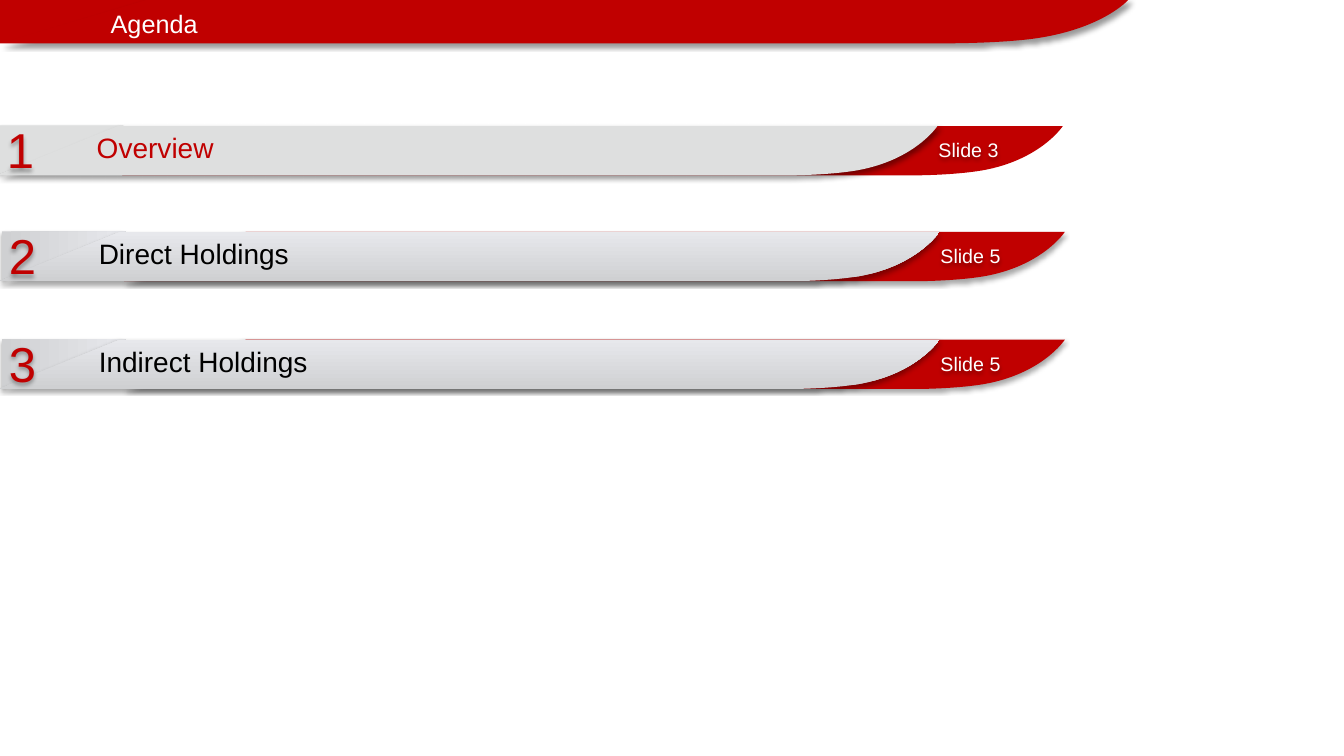
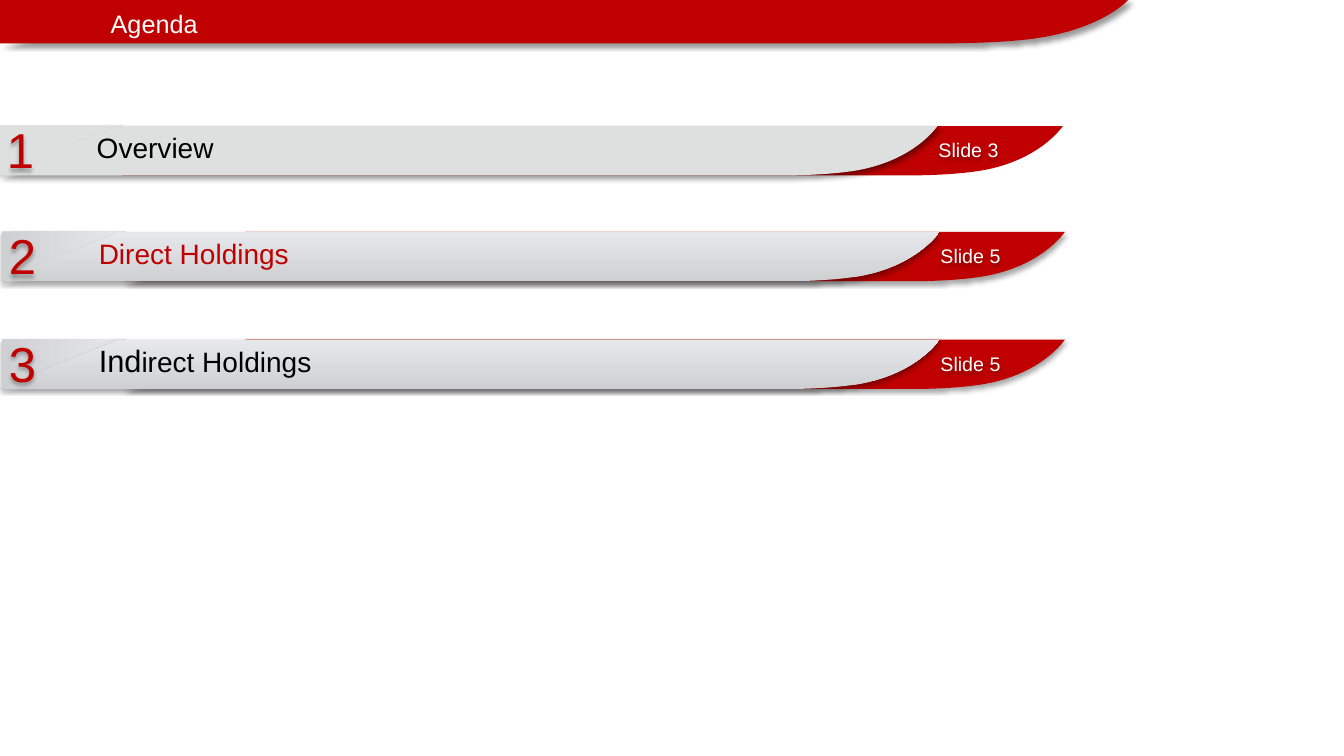
"""Build two agenda slides with curved bars placed by shares of the slide size."""
from dataclasses import dataclass
from typing import Any, NamedTuple, Optional

from lxml import etree
from pptx import Presentation, util as u
from pptx.dml.color import RGBColor
from pptx.enum import shapes, text
from pptx.oxml.ns import qn

WIDE, HIGH = u.Inches(13.33), u.Inches(7.5)
RED = RGBColor(0xC0, 0x00, 0x00)
WHITE = RGBColor(0xFF, 0xFF, 0xFF)
BLACK = RGBColor(0x00, 0x00, 0x00)
GRAY = RGBColor(0xDE, 0xDF, 0xDF)
DARK = RGBColor(0xCF, 0xD0, 0xD2)
LIGHT = RGBColor(0xE7, 0xE8, 0xEC)
FONT = "Arial"
SLANT = 9.08
CURVE = ((0, 0), (1.65, 0.69), (6, 0.9), (8.18, 1), (11.1, 1), (11.1, 1))


class Box(NamedTuple):
    """Hold a place in percent of the slide width and height."""
    left: float
    top: float
    width: float
    height: float

    def emu(self) -> tuple[int, ...]:
        """Give the place in slide units."""
        return (col(self.left), row(self.top), col(self.width), row(self.height))


class Shade(NamedTuple):
    """Hold the opacity, blur, distance and angle of a shadow."""
    alpha: int
    blur: float
    dist: float
    angle: int


class Run(NamedTuple):
    """Hold one run of text."""
    words: str
    size: int
    color: RGBColor


@dataclass(frozen=True)
class Item:
    """Describe one agenda row."""
    title: str
    page: str
    left: float
    top: float
    fill: Optional[RGBColor]
    bar: Shade
    tab: Optional[Shade]


@dataclass(frozen=True)
class Page:
    """Describe one slide: the active row and the enlarged letters of the last."""
    active: int
    large: int


SIDE = Shade(40, 4, 3, 45)
DOWN = Shade(35, 3.1, 1.8, 90)
ITEMS = (
    Item("Overview", "Slide 3", -0.3, 16.67, GRAY, SIDE, None),
    Item("Direct Holdings", "Slide 5", -0.15, 30.67, None, DOWN, DOWN),
    Item("Indirect Holdings", "Slide 5", -0.15, 44.93, None, DOWN, DOWN),
)
PAGES = (Page(0, 0), Page(1, 3))


def col(share: float) -> int:
    """Turn a percent of the width into slide units."""
    return round(WIDE * share / 100)


def row(share: float) -> int:
    """Turn a percent of the height into slide units."""
    return round(HIGH * share / 100)


def cast(shape: Any, shade: Optional[Shade]) -> None:
    """Replace the theme shadow with the given one."""
    shape.shadow.inherit = False
    if shade is None:
        return
    effect = shape._element.spPr.find(qn("a:effectLst"))
    outer = etree.SubElement(
        effect, qn("a:outerShdw"), blurRad=str(u.Pt(shade.blur)),
        dist=str(u.Pt(shade.dist)), dir=str(shade.angle * 60000),
        algn="ctr", rotWithShape="0")
    tint = etree.SubElement(outer, qn("a:srgbClr"), val=str(BLACK))
    etree.SubElement(tint, qn("a:alpha"), val=str(shade.alpha * 1000))


def paint(shape: Any, color: Optional[RGBColor], shade: Optional[Shade]) -> None:
    """Fill a shape flat, or with the gray blend when no colour is given."""
    if color is None:
        shape.fill.gradient()
        shape.fill.gradient_angle = 90
        for stop, tone, place in zip(shape.fill.gradient_stops, (DARK, LIGHT), (0, 1)):
            stop.color.rgb = tone
            stop.position = place
    else:
        shape.fill.solid()
        shape.fill.fore_color.rgb = color
    shape.line.fill.background()
    cast(shape, shade)


def write(shape: Any, runs: tuple[Run, ...], align: Any) -> None:
    """Add one paragraph to a shape, run by run, with a tab stop at one inch."""
    frame = shape.text_frame
    frame.word_wrap = True
    frame.vertical_anchor = text.MSO_ANCHOR.MIDDLE
    para = frame.paragraphs[0]
    para.alignment = align
    if align == text.PP_ALIGN.LEFT:
        stops = etree.SubElement(para._p.get_or_add_pPr(), qn("a:tabLst"))
        etree.SubElement(stops, qn("a:tab"), pos=str(u.Inches(1)), algn="l")
    for item in runs:
        run = para.add_run()
        run.text = item.words
        run.font.name = FONT
        run.font.size = u.Pt(item.size)
        run.font.color.rgb = item.color


def band(group: Any, box: Box, color: Optional[RGBColor],
         shade: Optional[Shade], scale: float = 1) -> Any:
    """Draw a bar with a slanted start and a curved end."""
    right, base = box.left + box.width, box.top + box.height
    curve = [(col(right - back * scale), row(box.top + drop * box.height))
             for back, drop in CURVE]
    pen = group.shapes.build_freeform(col(box.left + SLANT * scale), row(box.top))
    pen.add_line_segments([curve[0], *curve, (col(box.left), row(base))], close=True)
    shape = pen.convert_to_shape()
    lines = list(shape._element.iter(qn("a:lnTo")))
    for start in (1, 4):
        bend = etree.Element(qn("a:cubicBezTo"))
        lines[start].addprevious(bend)
        for line in lines[start:start + 3]:
            bend.append(line[0])
            line.getparent().remove(line)
    paint(shape, color, shade)
    return shape


def label(group: Any, box: Box, run: Run) -> None:
    """Add a centred text box with a soft shadow."""
    shape = group.shapes.add_textbox(*box.emu())
    write(shape, (run,), text.PP_ALIGN.CENTER)
    cast(shape, DOWN)


def header(slide: Any) -> None:
    """Draw the title band."""
    group = slide.shapes.add_group_shape()
    start = group.shapes.add_shape(
        shapes.MSO_SHAPE.PARALLELOGRAM, *Box(0, 0, 11.1, 5.73).emu())
    start.adjustments[0] = 0
    paint(start, RED, None)
    title = band(group, Box(0, 0, 83.95, 5.73), RED, SIDE, 1.2)
    write(title, (Run("\t", 22, WHITE), Run("Agenda", 18, WHITE)), text.PP_ALIGN.LEFT)


def entry(slide: Any, index: int, item: Item, color: RGBColor, large: int) -> None:
    """Draw one agenda row."""
    group = slide.shapes.add_group_shape()
    left, top = item.left, item.top
    wedge = group.shapes.add_shape(
        shapes.MSO_SHAPE.RIGHT_TRIANGLE, *Box(left + 3.08, top - 5.07, 3.6, 16.4).emu())
    wedge.rotation = 90
    paint(wedge, item.fill, DOWN)
    band(group, Box(left + 9.38, top, 70, 6.53), RED, item.tab)
    label(group, Box(left + 66.77, top - 0.03, 11.18, 6.4), Run(item.page, 14, WHITE))
    bar = band(group, Box(left, top, 70.05, 6.53), item.fill, item.bar)
    frame = bar.text_frame
    frame.margin_left = frame.margin_top = frame.margin_right = 0
    frame.margin_bottom = u.Inches(0.08)
    write(bar, (Run("\t" + item.title[:large], 22, BLACK),
                Run(item.title[large:], 20, color)), text.PP_ALIGN.LEFT)
    label(group, Box(left + 0.08, top - 0.13, 3, 6.4), Run(str(index + 1), 35, RED))


def main() -> None:
    """Build and save the slides."""
    deck = Presentation()
    deck.slide_width, deck.slide_height = WIDE, HIGH
    for page in PAGES:
        slide = deck.slides.add_slide(deck.slide_layouts[6])
        header(slide)
        for index, item in enumerate(ITEMS):
            color = RED if index == page.active else BLACK
            large = page.large if index == len(ITEMS) - 1 else 0
            entry(slide, index, item, color, large)
    deck.save("out.pptx")


if __name__ == "__main__":
    main()
